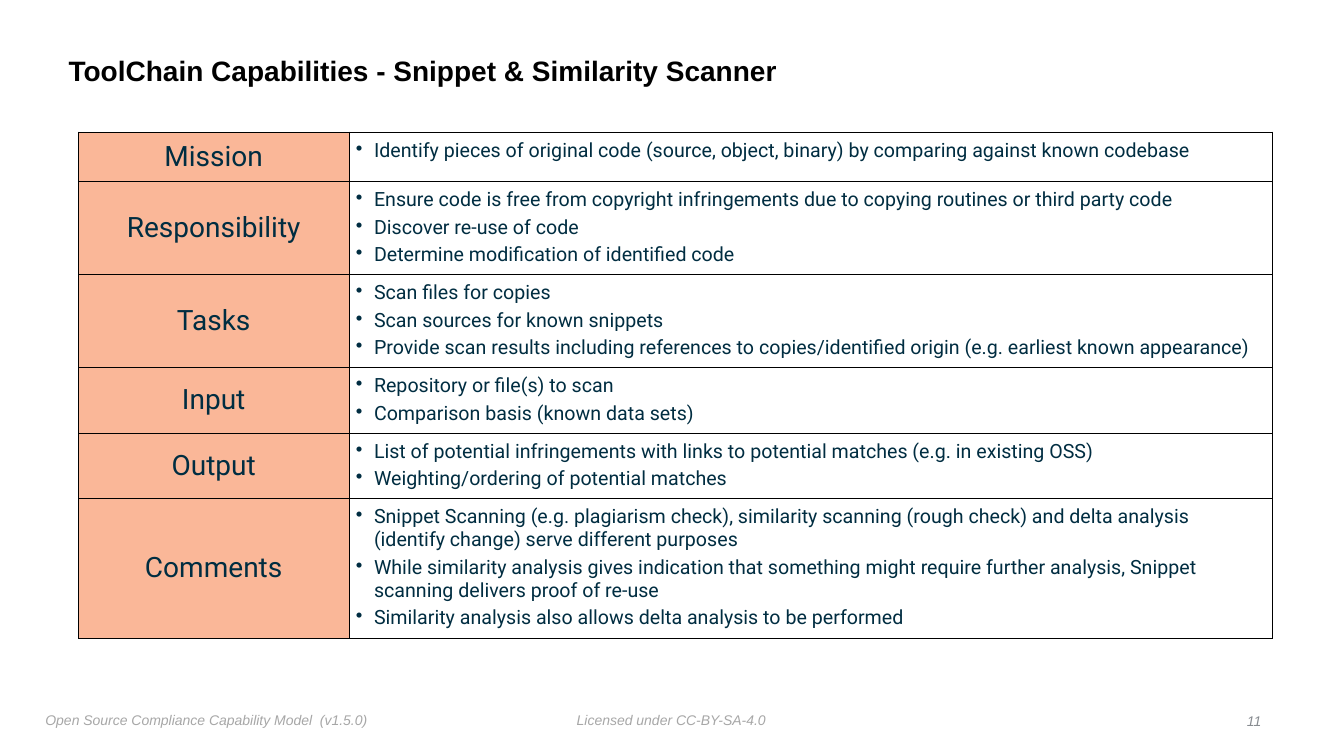
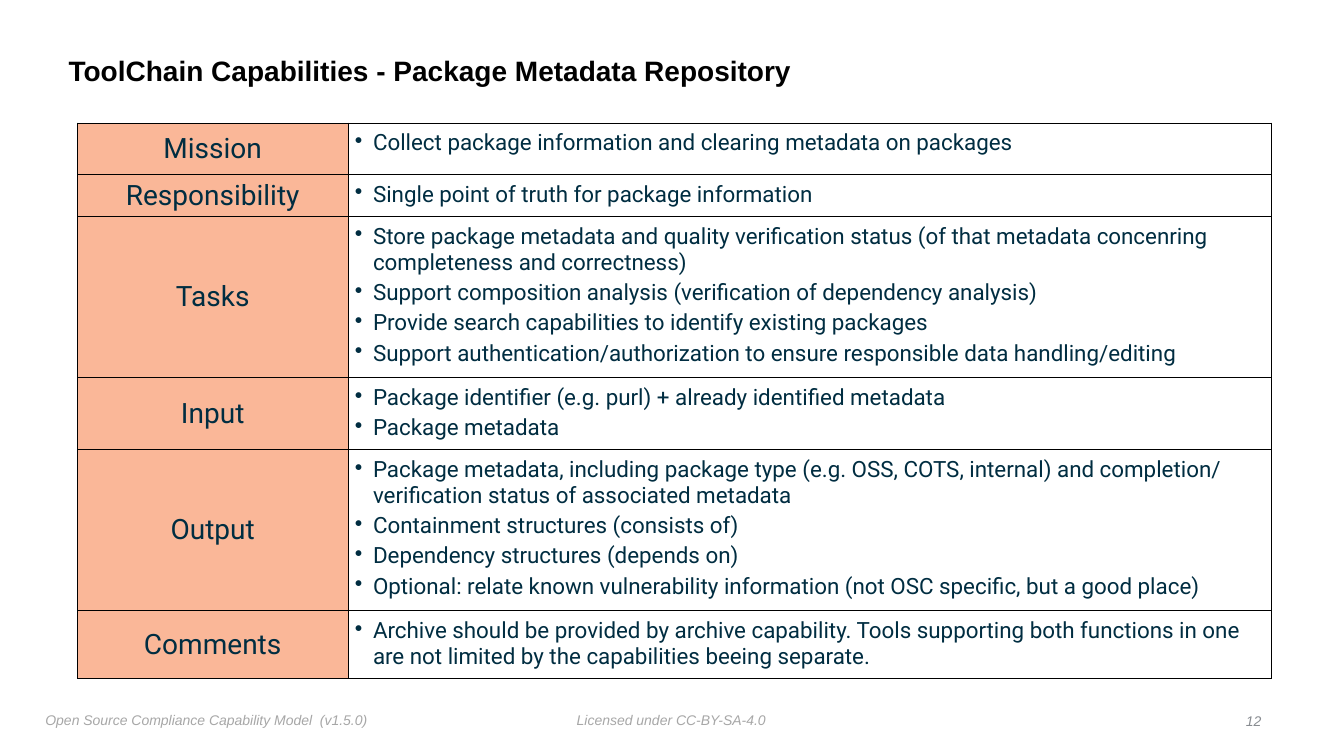
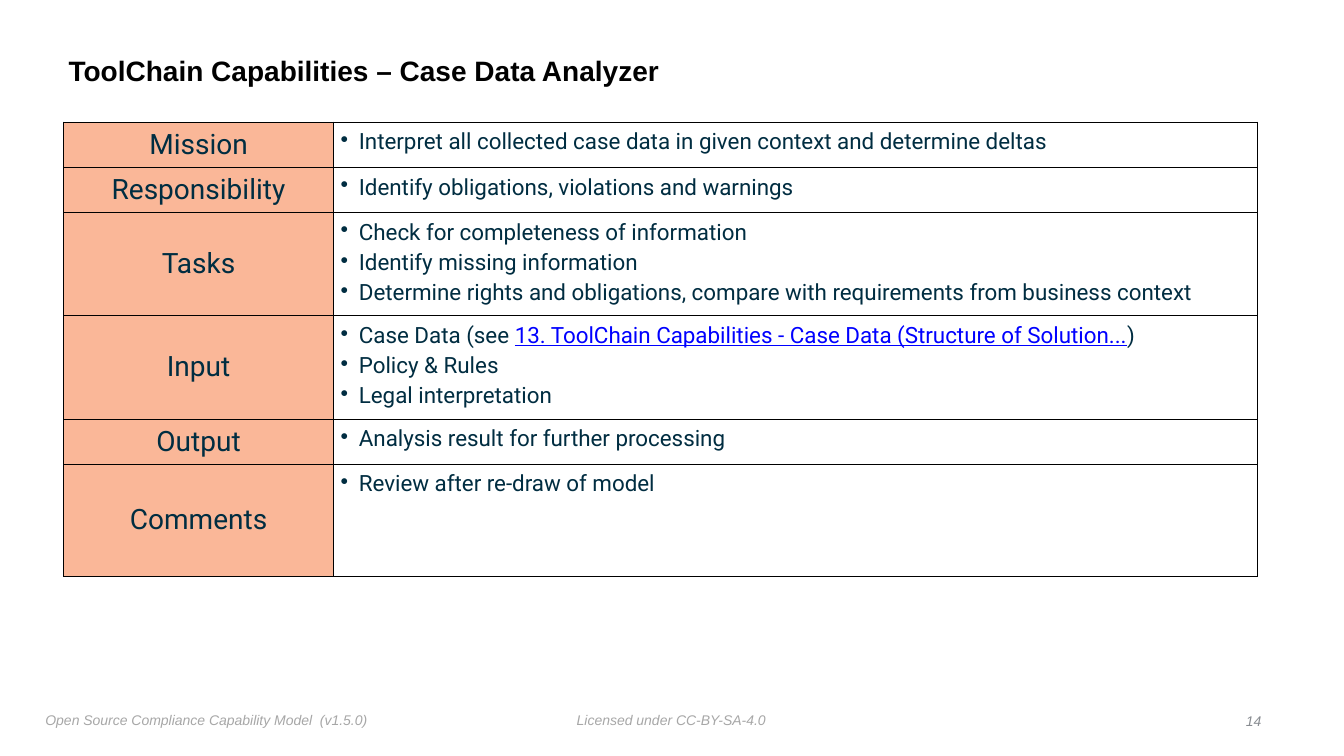
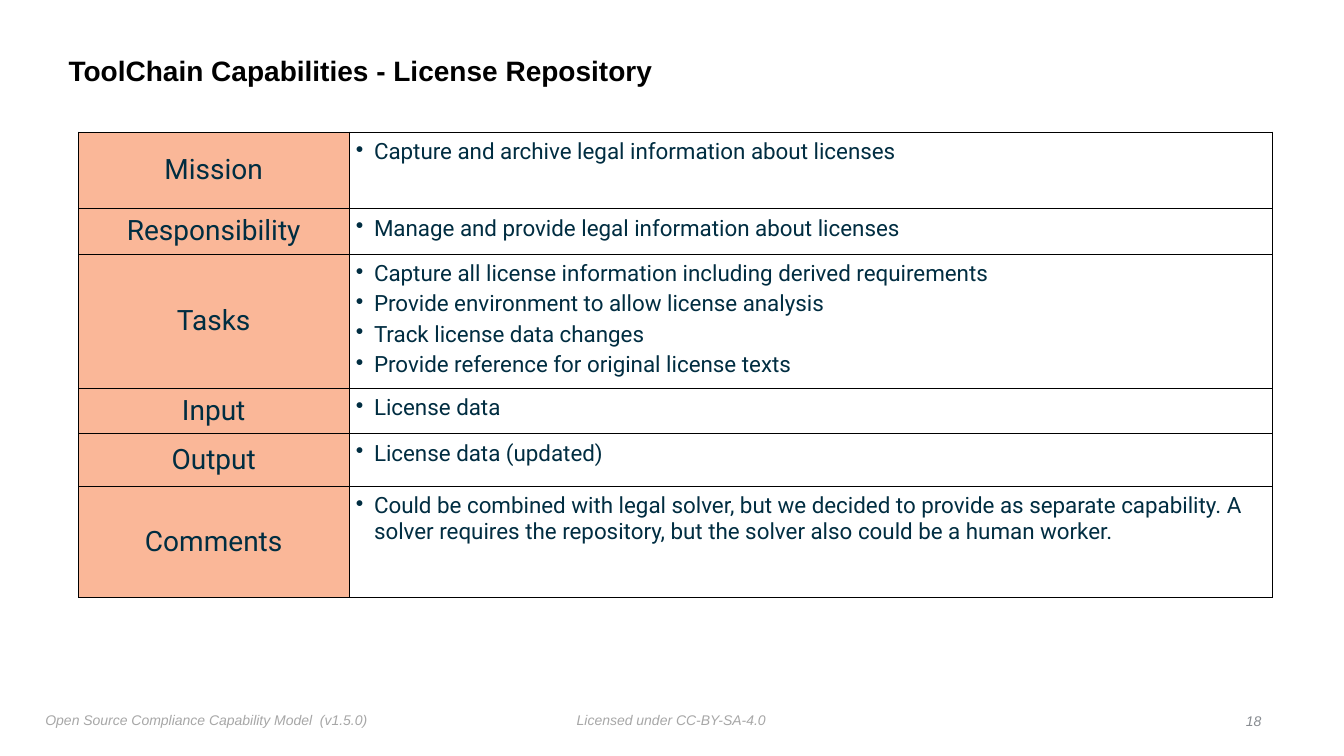
from lxml import etree
from pptx import Presentation
from pptx import util as u
from pptx.dml import color
from pptx.enum import text
from pptx.oxml import ns

LABELS = ["Mission", "Responsibility", "Tasks", "Input", "Output", "Comments"]

CAPABILITIES = [
    {
        "title": "ToolChain Capabilities - Snippet & Similarity Scanner",
        "number": 11, "left": 0.78, "top": 1.31, "size": 14,
        "heights": [0.49, 0.91, 0.91, 0.64, 0.64, 1.37],
        "rows": [
            ["Identify pieces of original code (source, object, binary) by comparing against known codebase"],
            ["Ensure code is free from copyright infringements due to copying routines or third party code",
             "Discover re-use of code",
             "Determine modification of identified code"],
            ["Scan files for copies",
             "Scan sources for known snippets",
             "Provide scan results including references to copies/identified origin (e.g. earliest known appearance)"],
            ["Repository or file(s) to scan",
             "Comparison basis (known data sets)"],
            ["List of potential infringements with links to potential matches (e.g. in existing OSS)",
             "Weighting/ordering of potential matches"],
            ["Snippet Scanning (e.g. plagiarism check), similarity scanning (rough check) and delta analysis "
             "(identify change) serve different purposes",
             "While similarity analysis gives indication that something might require further analysis, Snippet "
             "scanning delivers proof of re-use",
             "Similarity analysis also allows delta analysis to be performed"],
        ],
    },
    {
        "title": "ToolChain Capabilities - Package Metadata Repository",
        "number": 12, "left": 0.77, "top": 1.22, "size": 16,
        "heights": [0.51, 0.42, 1.56, 0.7, 1.55, 0.65],
        "rows": [
            ["Collect package information and clearing metadata on packages"],
            ["Single point of truth for package information"],
            ["Store package metadata and quality verification status (of that metadata concenring "
             "completeness and correctness)",
             "Support composition analysis (verification of dependency analysis)",
             "Provide search capabilities to identify existing packages",
             "Support authentication/authorization to ensure responsible data handling/editing"],
            ["Package identifier (e.g. purl) + already identified metadata",
             "Package metadata"],
            ["Package metadata, including package type (e.g. OSS, COTS, internal) and completion/ "
             "verification status of associated metadata",
             "Containment structures (consists of)",
             "Dependency structures (depends on)",
             "Optional: relate known vulnerability information (not OSC specific, but a good place)"],
            ["Archive should be provided by archive capability. Tools supporting both functions in one "
             "are not limited by the capabilities beeing separate."],
        ],
    },
    {
        "title": "ToolChain Capabilities – Case Data Analyzer",
        "number": 14, "left": 0.63, "top": 1.21, "size": 16,
        "heights": [0.45, 0.45, 1, 1, 0.45, 1.11],
        "rows": [
            ["Interpret all collected case data in given context and determine deltas"],
            ["Identify obligations, violations and warnings"],
            ["Check for completeness of information",
             "Identify missing information",
             "Determine rights and obligations, compare with requirements from business context"],
            [[("Case Data (see ", {}),
              ("13. ToolChain Capabilities - Case Data (Structure of Solution...",
               {"color": "0000FF", "underline": True}),
              (")", {})],
             "Policy & Rules",
             "Legal interpretation"],
            ["Analysis result for further processing"],
            ["Review after re-draw of model"],
        ],
    },
    {
        "title": "ToolChain Capabilities - License Repository",
        "number": 18, "left": 0.78, "top": 1.31, "size": 16,
        "heights": [0.76, 0.45, 1.3, 0.45, 0.52, 1.11],
        "rows": [
            ["Capture and archive legal information about licenses"],
            ["Manage and provide legal information about licenses"],
            ["Capture all license information including derived requirements",
             "Provide environment to allow license analysis",
             "Track license data changes",
             "Provide reference for original license texts"],
            ["License data"],
            ["License data (updated)"],
            ["Could be combined with legal solver, but we decided to provide as separate capability. A "
             "solver requires the repository, but the solver also could be a human worker."],
        ],
    },
]


def rgb(value):
    return color.RGBColor.from_string(value)


def assign(target, values):
    for name, value in values.items():
        setattr(target, name, value)


def margins(inches):
    return {f"margin_{side}": u.Inches(inches) for side in ("left", "top", "right", "bottom")}


class CapabilityDeck:
    TITLE = {"name": "Arial", "size": 20, "bold": True, "color": "000000"}
    FOOTER = {"name": "Arial", "size": 10, "italic": True, "color": "A7A7A7"}
    NUMBER = {**FOOTER, "color": "888C91"}
    BODY = {"name": "Roboto", "color": "002D41"}
    LABEL = {**BODY, "size": 20}
    LABEL_FILL = "FAB798"
    BORDER = "000000"
    COLUMNS = (2.68, 9.16)

    def __init__(self):
        self.deck = Presentation()
        assign(self.deck, {"slide_width": u.Inches(13.33), "slide_height": u.Inches(7.5)})
        self.slide = None

    def new_slide(self):
        self.slide = self.deck.slides.add_slide(self.deck.slide_layouts[6])

    def add_spans(self, para, content, style, **layout):
        assign(para, layout)
        spans = [(content, {})] if isinstance(content, str) else content
        for words, changes in spans:
            span = para.add_run()
            span.text = words
            values = {**style, **changes}
            span.font.color.rgb = rgb(values.pop("color"))
            values["size"] = u.Pt(values["size"])
            assign(span.font, values)

    def text_box(self, place, words, style, frame=None, **layout):
        box = self.slide.shapes.add_textbox(*map(u.Inches, place))
        assign(box.text_frame, {"word_wrap": True, **margins(0.05), **(frame or {})})
        self.add_spans(box.text_frame.paragraphs[0], words, style, **layout)

    def title(self, words):
        self.text_box((0.63, 0.39, 10.75, 0.65), words, self.TITLE,
                      {"vertical_anchor": text.MSO_ANCHOR.MIDDLE}, line_spacing=0.9)

    def footer(self, number):
        fitted = {"word_wrap": False, "auto_size": text.MSO_AUTO_SIZE.SHAPE_TO_FIT_TEXT}
        self.text_box((5.67, 7.01, 1.99, 0.25), "Licensed under CC-BY-SA-4.0", self.FOOTER, fitted)
        self.text_box((0.4, 7.01, 3.32, 0.27), "Open Source Compliance Capability Model  (v1.5.0)",
                      self.FOOTER, fitted)
        self.text_box((12.26, 7.03, 0.3, 0.25), str(number), self.NUMBER,
                      {"vertical_anchor": text.MSO_ANCHOR.MIDDLE}, alignment=text.PP_ALIGN.RIGHT)

    def borders(self, cell):
        properties = cell._tc.get_or_add_tcPr()
        for side in ("L", "R", "T", "B"):
            line = etree.SubElement(properties, ns.qn(f"a:ln{side}"), w=str(u.Pt(0.5)))
            fill = etree.SubElement(line, ns.qn("a:solidFill"))
            etree.SubElement(fill, ns.qn("a:srgbClr"), val=self.BORDER)

    def label_cell(self, cell, words):
        self.borders(cell)
        cell.fill.solid()
        cell.fill.fore_color.rgb = rgb(self.LABEL_FILL)
        assign(cell, {"vertical_anchor": text.MSO_ANCHOR.MIDDLE, **margins(0)})
        self.add_spans(cell.text_frame.paragraphs[0], words, self.LABEL, alignment=text.PP_ALIGN.CENTER)

    def bullet_cell(self, cell, items, size):
        self.borders(cell)
        cell.fill.background()
        assign(cell, margins(0.07))
        frame = cell.text_frame
        for index, item in enumerate(items):
            para = frame.add_paragraph() if index else frame.paragraphs[0]
            properties = para._p.get_or_add_pPr()
            properties.set("marL", str(u.Inches(0.18)))
            properties.set("indent", str(-u.Inches(0.18)))
            etree.SubElement(properties, ns.qn("a:buChar"), char="•")
            self.add_spans(para, item, {**self.BODY, "size": size}, space_before=u.Pt(3 if index else 0))

    def capability_table(self, left, top, heights, rows, size):
        place = (left, top, sum(self.COLUMNS), sum(heights))
        table = self.slide.shapes.add_table(len(rows), len(self.COLUMNS), *map(u.Inches, place)).table
        assign(table, {"first_row": False, "horz_banding": False})
        for column, width in zip(table.columns, self.COLUMNS):
            column.width = u.Inches(width)
        for row, height, label, items in zip(table.rows, heights, LABELS, rows):
            row.height = u.Inches(height)
            self.label_cell(row.cells[0], label)
            self.bullet_cell(row.cells[1], items, size)


def main():
    builder = CapabilityDeck()
    for capability in CAPABILITIES:
        builder.new_slide()
        builder.footer(capability["number"])
        builder.title(capability["title"])
        builder.capability_table(*(capability[key] for key in ("left", "top", "heights", "rows", "size")))
    builder.deck.save("out.pptx")


if __name__ == "__main__":
    main()
